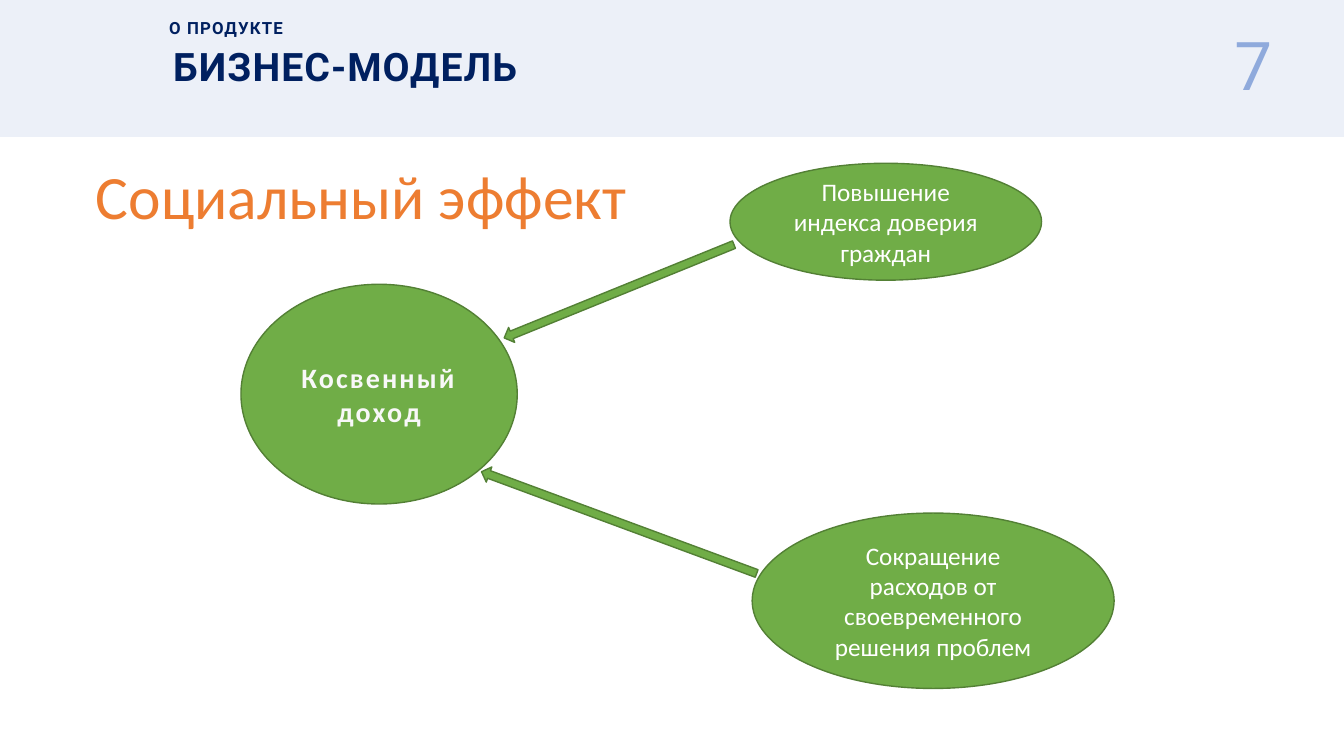
from dataclasses import dataclass

from lxml.etree import SubElement
from pptx import Presentation
from pptx.dml.color import RGBColor
from pptx.enum.shapes import MSO_SHAPE
from pptx.enum.text import MSO_ANCHOR, PP_ALIGN
from pptx.oxml.ns import qn
from pptx.shapes.autoshape import Shape
from pptx.slide import Slide
from pptx.util import Inches, Pt

NAVY = RGBColor(0x00, 0x20, 0x60)
PALE_BLUE = RGBColor(0xDA, 0xE3, 0xF3)
NUMBER_BLUE = RGBColor(0x8F, 0xAA, 0xDC)
ORANGE = RGBColor(0xED, 0x7D, 0x31)
GREEN = RGBColor(0x70, 0xAD, 0x47)
DARK_GREEN = RGBColor(0x53, 0x80, 0x35)
OFF_WHITE = RGBColor(0xF8, 0xF8, 0xF8)
WHITE = RGBColor(0xFF, 0xFF, 0xFF)

SLIDE_WIDTH, SLIDE_HEIGHT = 13.33, 7.5
ARROW_WIDTH = 0.16


@dataclass(frozen=True)
class Box:
    left: float
    top: float
    width: float
    height: float

    def lengths(self) -> list[int]:
        return [Inches(n) for n in (self.left, self.top, self.width, self.height)]


@dataclass(frozen=True)
class Style:
    size: float
    color: RGBColor
    name: str = "Calibri"
    bold: bool = False
    tracking: float = 0
    align: PP_ALIGN = PP_ALIGN.CENTER
    anchor: MSO_ANCHOR = MSO_ANCHOR.MIDDLE
    line_spacing: float = 1.0


@dataclass(frozen=True)
class Label:
    box: Box
    lines: tuple[str, ...]
    style: Style


@dataclass(frozen=True)
class Arrow:
    left: float
    top: float
    length: float
    rotation: float


EFFECT = Style(18, WHITE)

HEADINGS = [
    Label(Box(1.62, 0.37, 8.86, 0.57), ("БИЗНЕС-МОДЕЛЬ",),
          Style(28, NAVY, "Roboto", True, 0.8, PP_ALIGN.LEFT)),
    Label(Box(1.58, 0.13, 1.62, 0.3), ("О ПРОДУКТЕ",),
          Style(12, NAVY, "Roboto", True, 0.8, PP_ALIGN.LEFT)),
    Label(Box(11.77, 0.37, 1.32, 0.71), ("7",),
          Style(48, NUMBER_BLUE, "Roboto", anchor=MSO_ANCHOR.TOP, line_spacing=0.75)),
    Label(Box(0.15, 1.52, 6.87, 0.84), ("Социальный эффект",),
          Style(44, ORANGE, anchor=MSO_ANCHOR.TOP)),
]

OVALS = [
    Label(Box(2.39, 2.82, 2.74, 2.18), ("Косвенный доход",),
          Style(20, OFF_WHITE, bold=True, tracking=1.5)),
    Label(Box(7.24, 1.62, 3.09, 1.16), ("Повышение", "индекса доверия граждан"), EFFECT),
    Label(Box(7.46, 5.09, 3.59, 1.74),
          ("Сокращение расходов от своевременного решения проблем",), EFFECT),
]

ARROWS = [Arrow(6.06, 1.66, 2.46, 67.9), Arrow(6.06, 3.73, 2.91, 110.3)]


def write_text(holder: Shape, label: Label) -> None:
    style = label.style
    font_format = {"size": Pt(style.size), "name": style.name, "bold": style.bold}
    frame = holder.text_frame
    frame.word_wrap = True
    frame.vertical_anchor = style.anchor
    frame.text = "\n".join(label.lines)
    for paragraph in frame.paragraphs:
        paragraph.alignment = style.align
        paragraph.line_spacing = style.line_spacing
        for run in paragraph.runs:
            for attribute, value in font_format.items():
                setattr(run.font, attribute, value)
            run.font.color.rgb = style.color
            run._r.get_or_add_rPr().set("spc", str(round(style.tracking * 100)))


def add_green_shape(slide: Slide, kind: MSO_SHAPE, box: Box) -> Shape:
    shape = slide.shapes.add_shape(kind, *box.lengths())
    shape.shadow.inherit = False
    shape.fill.solid()
    shape.fill.fore_color.rgb = GREEN
    shape.line.color.rgb = DARK_GREEN
    shape.line.width = Pt(1)
    return shape


def add_header_band(slide: Slide) -> None:
    """Draw the half-transparent band across the top."""
    band = slide.shapes.add_shape(
        MSO_SHAPE.RECTANGLE, *Box(0, 0, SLIDE_WIDTH, 1.36).lengths())
    band.shadow.inherit = False
    band.fill.solid()
    band.fill.fore_color.rgb = PALE_BLUE
    band.line.fill.background()
    color = band._element.spPr.find(qn("a:solidFill")).find(qn("a:srgbClr"))
    SubElement(color, qn("a:alpha")).set("val", "50000")


def main() -> None:
    presentation = Presentation()
    presentation.slide_width = Inches(SLIDE_WIDTH)
    presentation.slide_height = Inches(SLIDE_HEIGHT)
    slide = presentation.slides.add_slide(presentation.slide_layouts[6])

    add_header_band(slide)
    for heading in HEADINGS:
        write_text(slide.shapes.add_textbox(*heading.box.lengths()), heading)
    for oval in OVALS:
        write_text(add_green_shape(slide, MSO_SHAPE.FLOWCHART_CONNECTOR, oval.box), oval)
    for arrow in ARROWS:
        box = Box(arrow.left, arrow.top, ARROW_WIDTH, arrow.length)
        add_green_shape(slide, MSO_SHAPE.DOWN_ARROW, box).rotation = arrow.rotation

    presentation.save("out.pptx")


if __name__ == "__main__":
    main()
